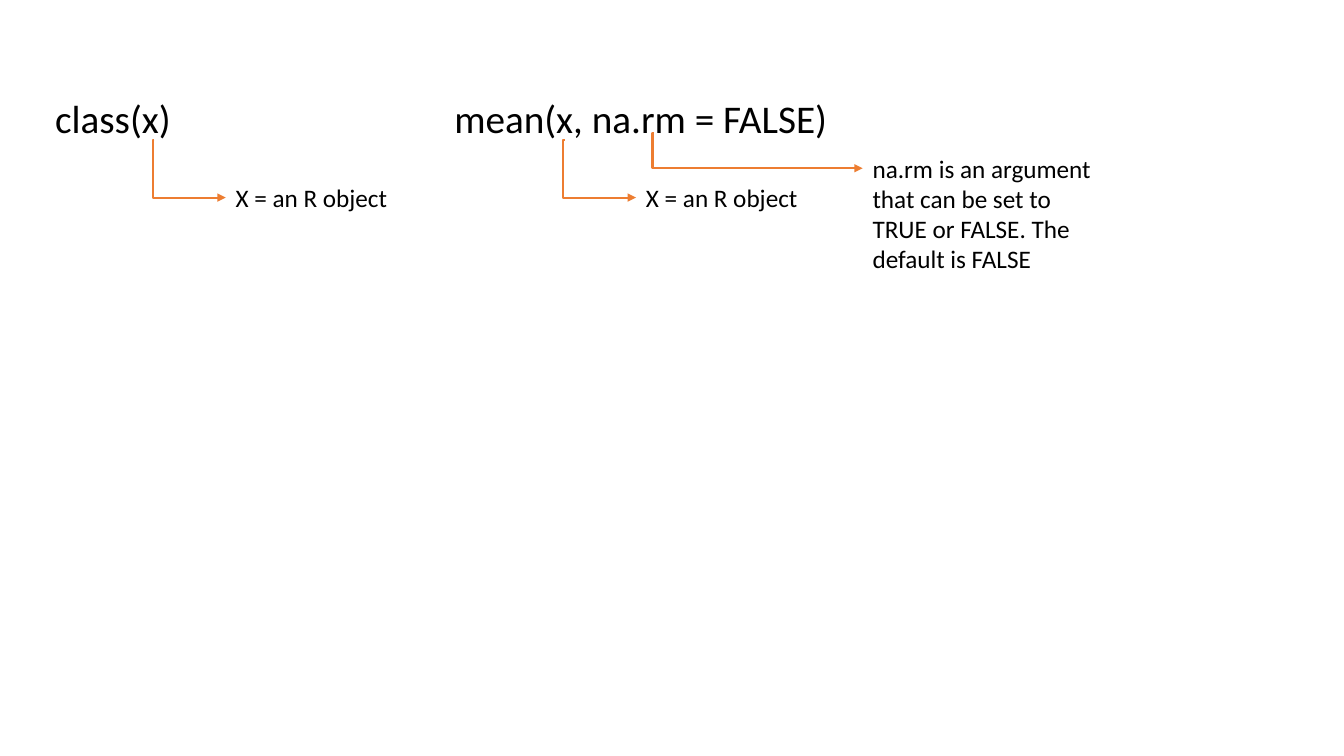
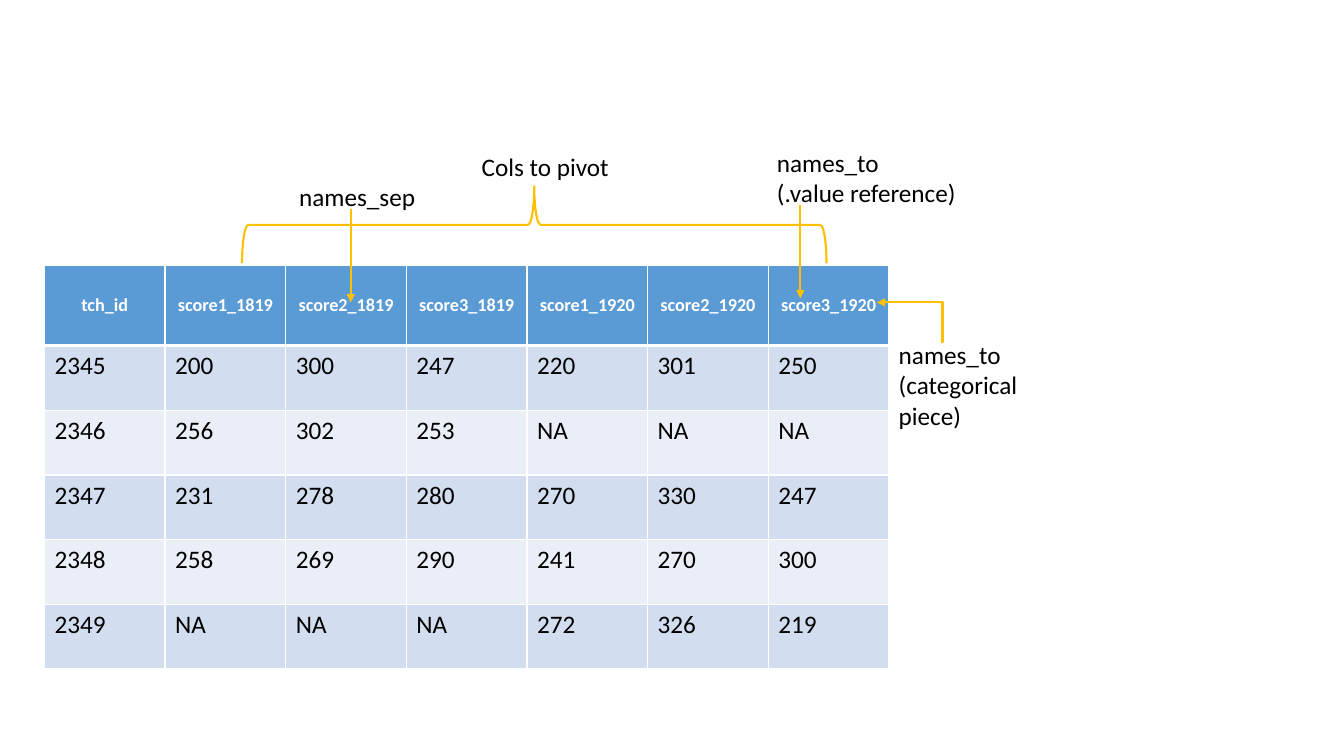
from lxml import etree
from pptx import Presentation
from pptx import util as u
from pptx.dml.color import RGBColor
from pptx.enum import shapes, text
from pptx.oxml.ns import qn

FONT = "Calibri"
COLORS = {"text": "000000", "white": "FFFFFF", "orange": "ED7D31", "gold": "FFC000",
          "header": "5B9BD5", "odd": "D2DEEF", "even": "EAEFF7"}
RGB = {name: RGBColor.from_string(value) for name, value in COLORS.items()}
ELBOW_OFFSET = 0.035


def add_label(slide, words, x, y, w, h, size=18, inset=0.25):
    tf = slide.shapes.add_textbox(u.Cm(x), u.Cm(y), u.Cm(w), u.Cm(h)).text_frame
    tf.word_wrap = True
    tf.auto_size = text.MSO_AUTO_SIZE.SHAPE_TO_FIT_TEXT
    tf.margin_left = u.Cm(inset)
    tf.text = words
    for p in tf.paragraphs:
        p.font.name = FONT
        p.font.size = u.Pt(size)
        p.font.color.rgb = RGB["text"]


def add_arrow(slide, x1, y1, x2, y2, color):
    kind = shapes.MSO_CONNECTOR.STRAIGHT if x1 == x2 else shapes.MSO_CONNECTOR.ELBOW
    c = slide.shapes.add_connector(kind, u.Cm(x1), u.Cm(y1), u.Cm(x2), u.Cm(y2))
    c.line.color.rgb = RGB[color]
    c.line.width = u.Pt(1.5)
    spPr = c.element.spPr
    etree.SubElement(spPr.find(qn("a:ln")), qn("a:tailEnd"), type="triangle")
    etree.SubElement(spPr, qn("a:effectLst"))
    if x1 != x2:
        adj = round(-ELBOW_OFFSET / abs(x2 - x1) * 100000)
        avLst = spPr.find(qn("a:prstGeom")).find(qn("a:avLst"))
        etree.SubElement(avLst, qn("a:gd"), name="adj1", fmla=f"val {adj}")


prs = Presentation()
prs.slide_width, prs.slide_height = u.Cm(33.87), u.Cm(19.05)
blank = prs.slide_layouts[6]

slide = prs.slides.add_slide(blank)
for code, x, w in [("class(x)", 0.99, 8.15), ("mean(x, na.rm = FALSE)", 11.05, 11.58)]:
    add_label(slide, code, x, 2.26, w, 1.45, size=28, inset=0.4)
for note, x, y, h, x1, y1 in [
    ("X = an R object", 5.69, 4.47, 1.02, 3.89, 3.53),
    ("X = an R object", 16.03, 4.47, 1.02, 14.23, 3.53),
    ("na.rm is an argument that can be set to TRUE or FALSE. The default is FALSE",
     21.74, 3.73, 3.33, 16.48, 3.35),
]:
    add_label(slide, note, x, y, 6.32, h)
    add_arrow(slide, x1, y1, x, y + 0.51, "orange")

slide = prs.slides.add_slide(blank)
rows = [
    ["tch_id"] + [f"score{n}_{year}" for year in (1819, 1920) for n in (1, 2, 3)],
    ["2345", "200", "300", "247", "220", "301", "250"],
    ["2346", "256", "302", "253", "NA", "NA", "NA"],
    ["2347", "231", "278", "280", "270", "330", "247"],
    ["2348", "258", "269", "290", "241", "270", "300"],
    ["2349", "NA", "NA", "NA", "272", "326", "219"],
]
table = slide.shapes.add_table(len(rows), len(rows[0]), u.Cm(1.12), u.Cm(6.68),
                               u.Cm(21.28), u.Cm(10.18)).table
table.first_row = table.horz_banding = False
for col in table.columns:
    col.width = u.Cm(3.04)
for i, row in enumerate(rows):
    header = i == 0
    table.rows[i].height = u.Cm(2.03 if header else 1.63)
    for j, value in enumerate(row):
        cell = table.cell(i, j)
        cell.text = value
        p = cell.text_frame.paragraphs[0]
        p.font.name = FONT
        p.font.size = u.Pt(13 if header else 18)
        p.font.bold = header
        p.font.color.rgb = RGB["white" if header else "text"]
        if header:
            p.alignment = text.PP_ALIGN.CENTER
            cell.vertical_anchor = text.MSO_ANCHOR.MIDDLE
        tcPr = cell._tc.get_or_add_tcPr()
        for side in "LRTB":
            thick = (i, side) in [(0, "B"), (1, "T")]
            ln = etree.SubElement(tcPr, qn(f"a:ln{side}"), w=str(u.Pt(3 if thick else 1)))
            fill = etree.SubElement(ln, qn("a:solidFill"))
            etree.SubElement(fill, qn("a:srgbClr"), val=COLORS["white"])
        cell.fill.solid()
        cell.fill.fore_color.rgb = RGB["header" if header else "odd" if i % 2 else "even"]

for words, x, y, w, h in [
    ("Cols to pivot", 11.89, 3.68, 4.83, 1.02),
    ("names_to (categorical piece)", 22.4, 8.43, 4.83, 2.57),
    ("names_to\n(.value reference)", 19.33, 3.58, 5.46, 1.8),
    ("names_sep", 7.29, 4.45, 4.83, 1.02),
]:
    add_label(slide, words, x, y, w, h)

brace = slide.shapes.add_shape(shapes.MSO_SHAPE.RIGHT_BRACE,
                               u.Cm(12.5), u.Cm(-1.7), u.Cm(1.93), u.Cm(14.73))
brace.rotation = 270
brace.shadow.inherit = False
brace.fill.background()
brace.line.color.rgb = RGB["gold"]
brace.line.width = u.Pt(1.5)

for ends in [(8.84, 5.26, 8.84, 7.62), (20.17, 5.16, 20.17, 7.52), (23.72, 8.61, 22.1, 7.62)]:
    add_arrow(slide, *ends, "gold")

prs.save("out.pptx")
